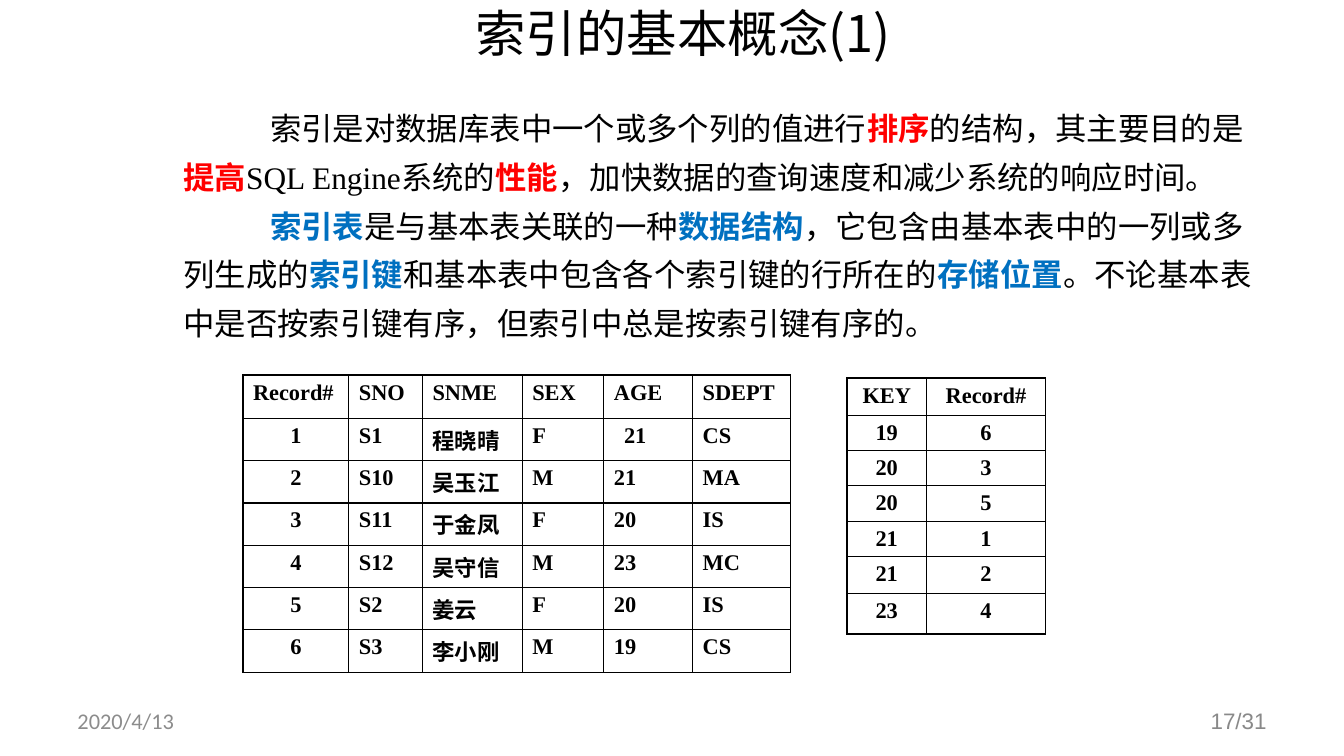
from pptx import Presentation
from pptx.dml.color import RGBColor
from pptx.enum.text import MSO_ANCHOR, PP_ALIGN
from pptx.oxml.ns import qn
from pptx.util import Inches, Pt
from lxml.etree import SubElement

HUES = {"ink": "000000", "red": "FF0000", "blue": "0070C0",
        "date": "8C8C8C", "page": "898989"}
HAN = "Noto Sans CJK SC"
SERIF = "Times New Roman"

INTRO = [
    [("索引是对数据库表中一个或多个列的值进行", "ink"), ("排序", "red"),
     ("的结构，其主要目的是", "ink"), ("提高", "red"),
     ("SQL Engine系统的", "ink"), ("性能", "red"),
     ("，加快数据的查询速度和减少系统的响应时间。", "ink")],
    [("索引表", "blue"), ("是与基本表关联的一种", "ink"), ("数据结构", "blue"),
     ("，它包含由基本表中的一列或多列生成的", "ink"), ("索引键", "blue"),
     ("和基本表中包含各个索引键的行所在的", "ink"), ("存储位置", "blue"),
     ("。不论基本表中是否按索引键有序，但索引中总是按索引键有序的。", "ink")],
]
PUPILS = [
    ("Record#", "SNO", "SNME", "SEX", "AGE", "SDEPT"),
    ("1", "S1", "程晓晴", "F", "21", "CS"),
    ("2", "S10", "吴玉江", "M", "21", "MA"),
    ("3", "S11", "于金凤", "F", "20", "IS"),
    ("4", "S12", "吴守信", "M", "23", "MC"),
    ("5", "S2", "姜云", "F", "20", "IS"),
    ("6", "S3", "李小刚", "M", "19", "CS"),
]
KEYS = [("KEY", "Record#"), ("19", "6"), ("20", "3"), ("20", "5"),
        ("21", "1"), ("21", "2"), ("23", "4")]


def apply(item, style):
    for name, value in style.items():
        setattr(item, name, value)


def add_run(para, text, hue, face, size, bold=False):
    run = para.add_run()
    run.text = text
    apply(run.font, {"name": face, "size": Pt(size), "bold": bold})
    run.font.color.rgb = RGBColor.from_string(HUES[hue])
    SubElement(run.font._element, qn("a:ea"), typeface=HAN)


def indent(para, left, first):
    props = para._p.get_or_add_pPr()
    props.set("marL", str(Inches(left)))
    props.set("indent", str(Inches(first)))


def add_box(slide, spot, anchor=MSO_ANCHOR.MIDDLE):
    frame = slide.shapes.add_textbox(*map(Inches, spot)).text_frame
    apply(frame, {"word_wrap": True, "vertical_anchor": anchor})
    return frame


def add_line(slide, spot, text, hue, face, size, align):
    para = add_box(slide, spot).paragraphs[0]
    para.alignment = align
    add_run(para, text, hue, face, size)


def add_intro(slide, spot):
    frame = add_box(slide, spot, MSO_ANCHOR.TOP)
    for order, parts in enumerate(INTRO):
        para = frame.add_paragraph() if order else frame.paragraphs[0]
        para.line_spacing = 1.3
        indent(para, 0.5, 0.86)
        for text, hue in parts:
            add_run(para, text, hue, SERIF, 22.4, hue != "ink")


def add_edges(cell):
    props = cell._tc.get_or_add_tcPr()
    for order, side in enumerate(("lnL", "lnR", "lnT", "lnB")):
        edge = props.makeelement(qn("a:" + side), {"w": str(Pt(1))})
        fill = SubElement(edge, qn("a:solidFill"))
        SubElement(fill, qn("a:srgbClr"), val=HUES["ink"])
        props.insert(order, edge)


def add_grid(slide, left, top, rows, widths, heights, center):
    frame = slide.shapes.add_table(
        len(rows), len(widths), Inches(left), Inches(top),
        Inches(sum(widths)), Inches(sum(heights)))
    table = frame.table
    apply(table, {"first_row": False, "horz_banding": False})
    for col, width in zip(table.columns, widths):
        col.width = Inches(width)
    for line, (row, height, texts) in enumerate(zip(table.rows, heights, rows)):
        row.height = Inches(height)
        for col, (cell, text) in enumerate(zip(row.cells, texts)):
            cell.fill.background()
            cell.margin_bottom = Inches(0.02)
            add_edges(cell)
            para = cell.text_frame.paragraphs[0]
            middle = line >= center.get(col, len(rows))
            para.alignment = PP_ALIGN.CENTER if middle else PP_ALIGN.LEFT
            add_run(para, text, "ink", SERIF, 16, True)
    return table


def main():
    deck = Presentation()
    apply(deck, {"slide_width": Inches(13.33), "slide_height": Inches(7.5)})
    slide = deck.slides.add_slide(deck.slide_layouts[6])
    add_line(slide, (2.57, -0.11, 8.52, 0.87), "索引的基本概念(1) ",
             "ink", HAN, 36, PP_ALIGN.CENTER)
    add_intro(slide, (1.22, 0.92, 11.44, 2.6))
    pupils = add_grid(slide, 2.41, 3.72, PUPILS,
                      (1.05, 0.73, 0.99, 0.81, 0.88, 0.97),
                      [0.43] + [0.42] * 6, {0: 1})
    indent(pupils.cell(1, 4).text_frame.paragraphs[0], 0, 0.1)
    add_grid(slide, 8.4, 3.75, KEYS, (0.79, 1.18),
             [0.37] + [0.35] * 4 + [0.37, 0.4], {0: 0, 1: 0})
    add_line(slide, (0.67, 6.95, 3.11, 0.4), "2020/4/13",
             "date", "Calibri", 16, PP_ALIGN.LEFT)
    add_line(slide, (9.55, 6.95, 3.11, 0.4), "17/31",
             "page", "Arial", 16, PP_ALIGN.RIGHT)
    deck.save("out.pptx")


if __name__ == "__main__":
    main()
